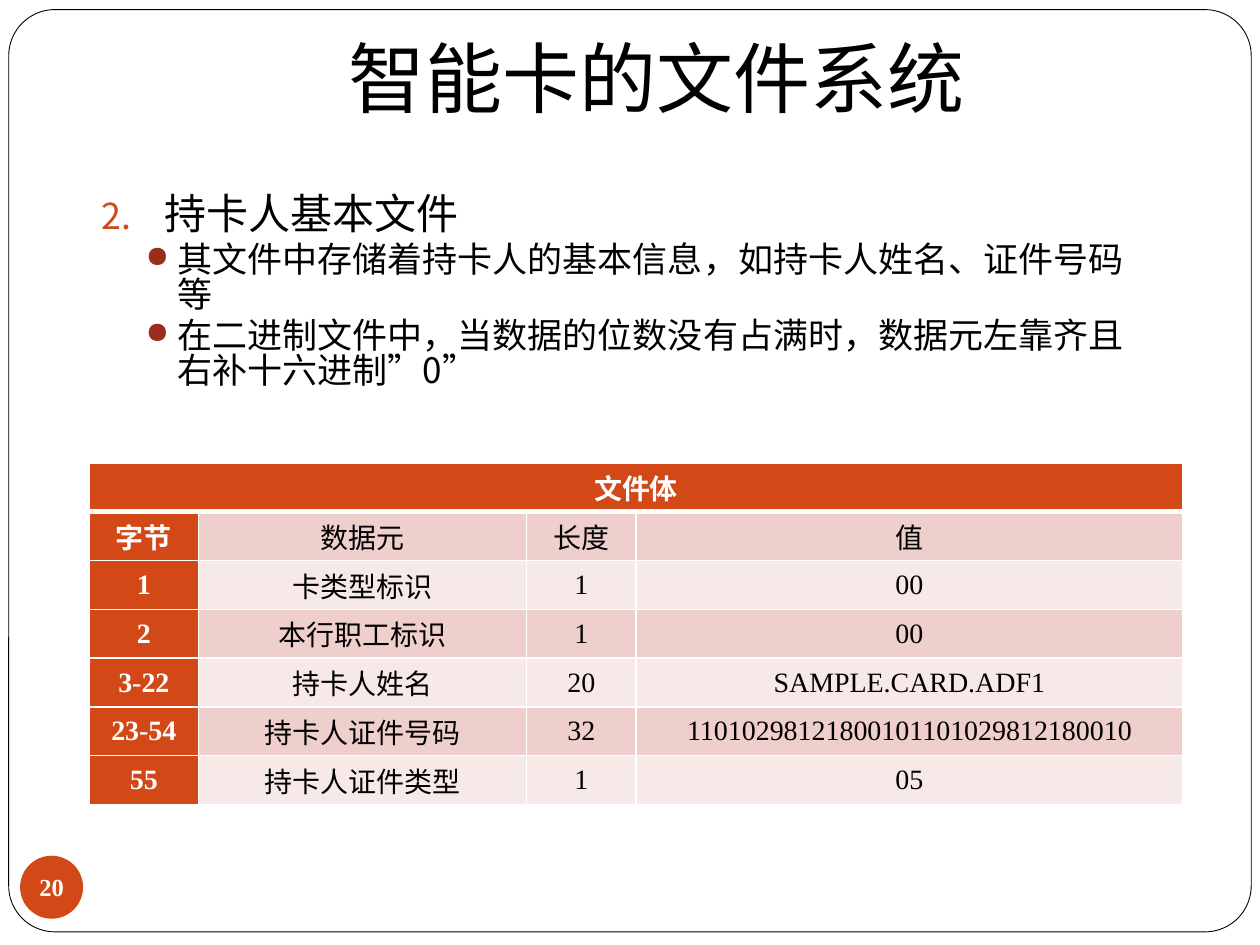
"""Build the slide on the smart card file system."""
import pptx
import pptx.dml.color
import pptx.enum.shapes
import pptx.enum.text
import pptx.oxml
import pptx.oxml.ns
import pptx.util

Pt = pptx.util.Pt
RGBColor = pptx.dml.color.RGBColor
SHAPE = pptx.enum.shapes.MSO_SHAPE
ANCHOR = pptx.enum.text.MSO_ANCHOR
ALIGN = pptx.enum.text.PP_ALIGN

BLACK = RGBColor(0x00, 0x00, 0x00)
WHITE = RGBColor(0xFF, 0xFF, 0xFF)
ORANGE = RGBColor(0xD3, 0x48, 0x17)
DARK_RED = RGBColor(0x9B, 0x2D, 0x1F)
BAND_DARK = RGBColor(0xEF, 0xCF, 0xCC)
BAND_LIGHT = RGBColor(0xF7, 0xE9, 0xE8)
SANS = "Noto Sans CJK SC"
SERIF = "Times New Roman"
NAMESPACE = pptx.oxml.ns.nsdecls("a")

COLUMN_WIDTHS = (62.5, 187.5, 62.5, 312.5)
ROW_HEIGHT = 27.9
FILE_ROWS = (
    ("字节", "数据元", "长度", "值"),
    ("1", "卡类型标识", "1", "00"),
    ("2", "本行职工标识", "1", "00"),
    ("3-22", "持卡人姓名", "20", "SAMPLE.CARD.ADF1"),
    ("23-54", "持卡人证件号码", "32", "11010298121800101101029812180010"),
    ("55", "持卡人证件类型", "1", "05"),
)
DETAILS = (
    "其文件中存储着持卡人的基本信息，如持卡人姓名、证件号码等",
    "在二进制文件中，当数据的位数没有占满时，数据元左靠齐且右补十六进制”0”",
)


class SlideBuilder:
    def __init__(self, slide):
        self.slide = slide

    def run(self, paragraph, text, size, color=BLACK, font=SANS, bold=False):
        run = paragraph.add_run()
        run.text = text
        run.font.size = Pt(size)
        run.font.name = font
        run.font.bold = bold
        run.font.color.rgb = color
        run.font._element.append(pptx.oxml.parse_xml(
            f'<a:ea {NAMESPACE} typeface="{SANS}"/>'))

    def shape(self, kind, left, top, width, height, fill, line=None):
        shape = self.slide.shapes.add_shape(
            kind, Pt(left), Pt(top), Pt(width), Pt(height))
        shape.shadow.inherit = False
        shape.fill.solid()
        shape.fill.fore_color.rgb = fill
        if line is None:
            shape.line.fill.background()
        else:
            shape.line.color.rgb = line
            shape.line.width = Pt(0.5)
        return shape

    def frame(self):
        shape = self.shape(SHAPE.ROUNDED_RECTANGLE, 5, 5.5, 710, 527, WHITE, BLACK)
        shape.adjustments[0] = 0.05

    def page_number(self, number):
        shape = self.shape(SHAPE.OVAL, 11.5, 489, 36, 36, ORANGE)
        text_frame = shape.text_frame
        text_frame.word_wrap = False
        text_frame.vertical_anchor = ANCHOR.MIDDLE
        text_frame.margin_left = text_frame.margin_right = 0
        text_frame.margin_top = text_frame.margin_bottom = 0
        paragraph = text_frame.paragraphs[0]
        paragraph.alignment = ALIGN.CENTER
        self.run(paragraph, number, 14, WHITE, SERIF, True)

    def text_box(self, left, top, width, height):
        box = self.slide.shapes.add_textbox(Pt(left), Pt(top), Pt(width), Pt(height))
        box.text_frame.word_wrap = True
        return box.text_frame

    def title(self, text):
        paragraph = self.text_box(105, 20, 541, 60.5).paragraphs[0]
        paragraph.alignment = ALIGN.CENTER
        paragraph.line_spacing = 0.9
        self.run(paragraph, text, 44)

    def item(self, paragraph, text, size, bullet, color, margin, indent, before):
        paragraph.space_before = Pt(before)
        paragraph.line_spacing = 0.83
        properties = paragraph._p.get_or_add_pPr()
        properties.set("marL", str(Pt(margin)))
        properties.set("indent", str(Pt(-indent)))
        for element in (f'<a:buClr {NAMESPACE}><a:srgbClr val="{color}"/></a:buClr>',
                        f'<a:buSzPct {NAMESPACE} val="85000"/>', bullet):
            properties.append(pptx.oxml.parse_xml(element))
        self.run(paragraph, text, size)

    def body(self, heading, details):
        text_frame = self.text_box(51, 108.5, 612, 360)
        number = f'<a:buAutoNum {NAMESPACE} type="arabicPeriod" startAt="2"/>'
        dot = f'<a:buChar {NAMESPACE} char="●"/>'
        self.item(text_frame.paragraphs[0], heading, 24, number, ORANGE, 36, 36, 5.8)
        for detail in details:
            paragraph = text_frame.add_paragraph()
            paragraph.level = 1
            self.item(paragraph, detail, 20, dot, DARK_RED, 43.2, 18, 3.8)

    def cell(self, cell, text, fill, emphasized, bottom=1):
        cell.fill.solid()
        cell.fill.fore_color.rgb = fill
        cell.vertical_anchor = ANCHOR.MIDDLE
        cell.margin_left = cell.margin_right = Pt(5)
        cell.margin_top = cell.margin_bottom = 0
        properties = cell._tc.get_or_add_tcPr()
        for index, (side, width) in enumerate(
                (("L", 1), ("R", 1), ("T", 1), ("B", bottom))):
            properties.insert(index, pptx.oxml.parse_xml(
                f'<a:ln{side} {NAMESPACE} w="{Pt(width)}"><a:solidFill>'
                f'<a:srgbClr val="{WHITE}"/></a:solidFill></a:ln{side}>'))
        if text:
            paragraph = cell.text_frame.paragraphs[0]
            paragraph.alignment = ALIGN.CENTER
            color = WHITE if emphasized else BLACK
            self.run(paragraph, text, 16, color, SERIF, emphasized)

    def table(self, heading, rows):
        table = self.slide.shapes.add_table(
            len(rows) + 1, len(COLUMN_WIDTHS), Pt(51), Pt(264.5),
            Pt(sum(COLUMN_WIDTHS)), Pt(ROW_HEIGHT * (len(rows) + 1))).table
        for column, width in zip(table.columns, COLUMN_WIDTHS):
            column.width = Pt(width)
        for row in table.rows:
            row.height = Pt(ROW_HEIGHT)
        for column in range(len(COLUMN_WIDTHS)):
            self.cell(table.cell(0, column), "" if column else heading, ORANGE, True, 3)
        table.cell(0, 0).merge(table.cell(0, len(COLUMN_WIDTHS) - 1))
        for row, values in enumerate(rows, 1):
            band = BAND_DARK if row % 2 else BAND_LIGHT
            for column, value in enumerate(values):
                first = column == 0
                self.cell(table.cell(row, column), value, ORANGE if first else band, first)


def main():
    presentation = pptx.Presentation()
    presentation.slide_width = Pt(720)
    presentation.slide_height = Pt(540)
    builder = SlideBuilder(presentation.slides.add_slide(presentation.slide_layouts[6]))
    builder.frame()
    builder.page_number("20")
    builder.title("智能卡的文件系统")
    builder.body("持卡人基本文件", DETAILS)
    builder.table("文件体", FILE_ROWS)
    presentation.save("out.pptx")


if __name__ == "__main__":
    main()
